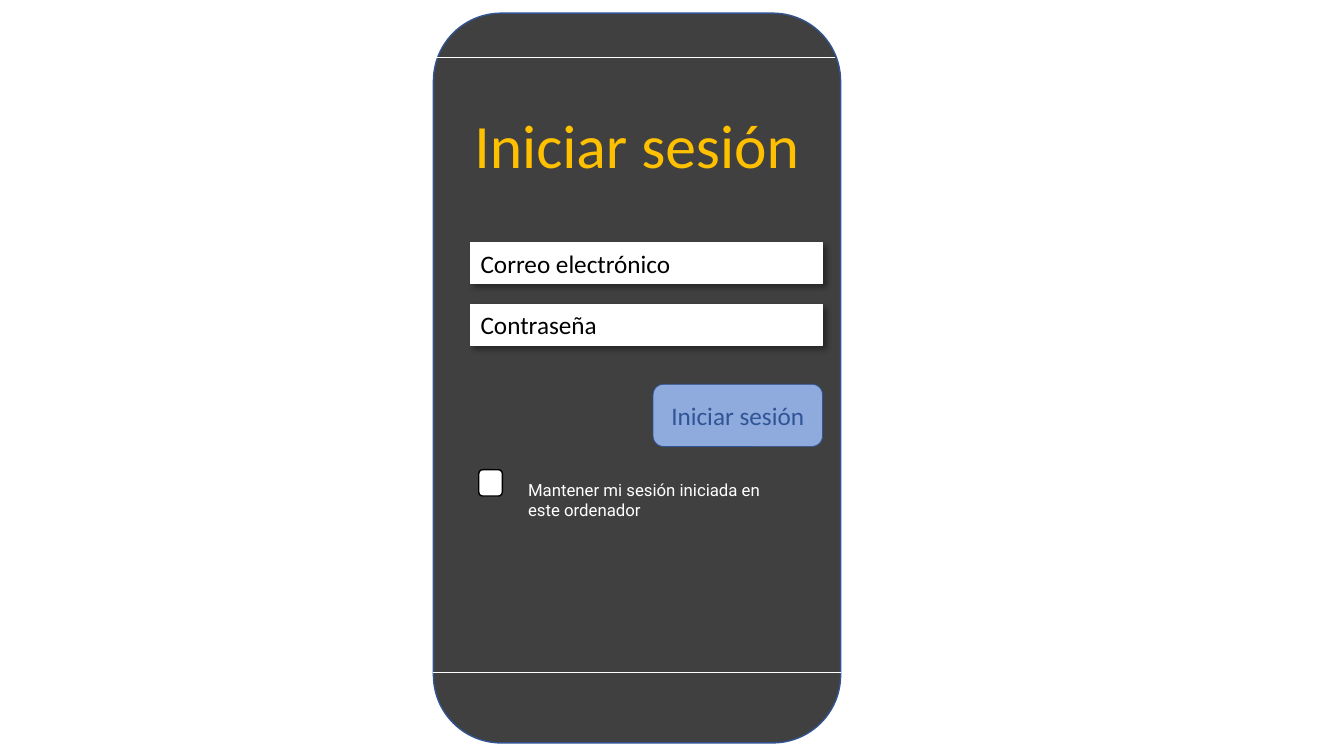
import pptx
import pptx.util
import pptx.dml.color
import pptx.enum.shapes
import pptx.enum.text
import pptx.oxml
import pptx.oxml.ns

Pt = pptx.util.Pt
RGB = pptx.dml.color.RGBColor.from_string
SHAPE = pptx.enum.shapes.MSO_SHAPE
ALIGN = pptx.enum.text.PP_ALIGN
ANCHOR = pptx.enum.text.MSO_ANCHOR

COLOURS = {
    "body": "404040",
    "body_edge": "325491",
    "white": "FFFFFF",
    "black": "000000",
    "heading": "FFC000",
    "button": "8FAADC",
    "button_ink": "2F5597",
}


def write_text(shape, text, size, colour, font="Calibri", align=ALIGN.LEFT,
               anchor=ANCHOR.TOP, wrap=True):
    frame = shape.text_frame
    frame.word_wrap = wrap
    frame.vertical_anchor = anchor
    frame.margin_left = frame.margin_right = Pt(7.2)
    frame.margin_top = frame.margin_bottom = Pt(3.6)
    paragraph = frame.paragraphs[0]
    paragraph.alignment = align
    run = paragraph.add_run()
    run.text = text
    run.font.name = font
    run.font.size = Pt(size)
    run.font.color.rgb = RGB(COLOURS[colour])


def add_block(kind, left, top, width, height, fill, line, line_width):
    block = slide.shapes.add_shape(kind, Pt(left), Pt(top), Pt(width), Pt(height))
    block.shadow.inherit = False
    block.fill.solid()
    block.fill.fore_color.rgb = RGB(COLOURS[fill])
    block.line.color.rgb = RGB(COLOURS[line])
    block.line.width = Pt(line_width)
    return block


deck = pptx.Presentation()
deck.slide_width, deck.slide_height = Pt(960), Pt(540)
slide = deck.slides.add_slide(deck.slide_layouts[5])

# Phone body with its two divider lines
phone_left, phone_width = 309.6, 290.9
add_block(SHAPE.ROUNDED_RECTANGLE, phone_left, 9.4, phone_width, 521.3,
          "body", "body_edge", 1)
for left, y in ((phone_left, 480.2), (phone_left - 4.3, 41)):
    divider = slide.shapes.add_connector(
        pptx.enum.shapes.MSO_CONNECTOR.STRAIGHT,
        Pt(left), Pt(y), Pt(left + phone_width), Pt(y))
    divider.line.color.rgb = RGB(COLOURS["white"])
    divider.line.width = Pt(0.5)
    divider._element.spPr.append(pptx.oxml.parse_xml(
        f"<a:effectLst {pptx.oxml.ns.nsdecls('a')}/>"))

# The title goes in front of the phone body
heading = slide.shapes.title
heading.left, heading.top = Pt(330.5), Pt(72.7)
heading.width, heading.height = Pt(249.1), Pt(60.5)
write_text(heading, "Iniciar sesión", 44, "heading", align=ALIGN.CENTER, wrap=False)
slide.shapes._spTree.append(heading._element)

# Input fields with a soft shadow
field_left, field_width = 336.2, 251.3
for row, prompt in enumerate(("Correo electrónico", "Contraseña")):
    field = add_block(SHAPE.RECTANGLE, field_left, 173.5 + 44.2 * row,
                      field_width, 29, "white", "white", 0.75)
    write_text(field, prompt, 18, "black")
    effects = field._element.spPr.find(pptx.oxml.ns.qn("a:effectLst"))
    effects.append(pptx.oxml.parse_xml(
        f"<a:outerShdw {pptx.oxml.ns.nsdecls('a')} blurRad='{Pt(4)}' dist='{Pt(3)}' "
        f"dir='{45 * 60000}' algn='tl' rotWithShape='0'>"
        f"<a:srgbClr val='{COLOURS['black']}'><a:alpha val='40000'/></a:srgbClr>"
        "</a:outerShdw>"))

# Checkbox and its label
add_block(SHAPE.ROUNDED_RECTANGLE, 342, 335.5, 16.8, 18.8, "white", "black", 1)
keep_signed_in = slide.shapes.add_textbox(Pt(370.1), Pt(339.1), Pt(201.6), Pt(36))
write_text(keep_signed_in, "Mantener mi sesión iniciada en este ordenador", 12,
           "white", font="Roboto")

# Button, flush with the right edge of the fields
button_width = 121
button = add_block(SHAPE.ROUNDED_RECTANGLE, field_left + field_width - button_width,
                   274.5, button_width, 44.4, "button", "button_ink", 0.5)
write_text(button, "Iniciar sesión", 18, "button_ink", align=ALIGN.CENTER,
           anchor=ANCHOR.MIDDLE)

deck.save("out.pptx")
